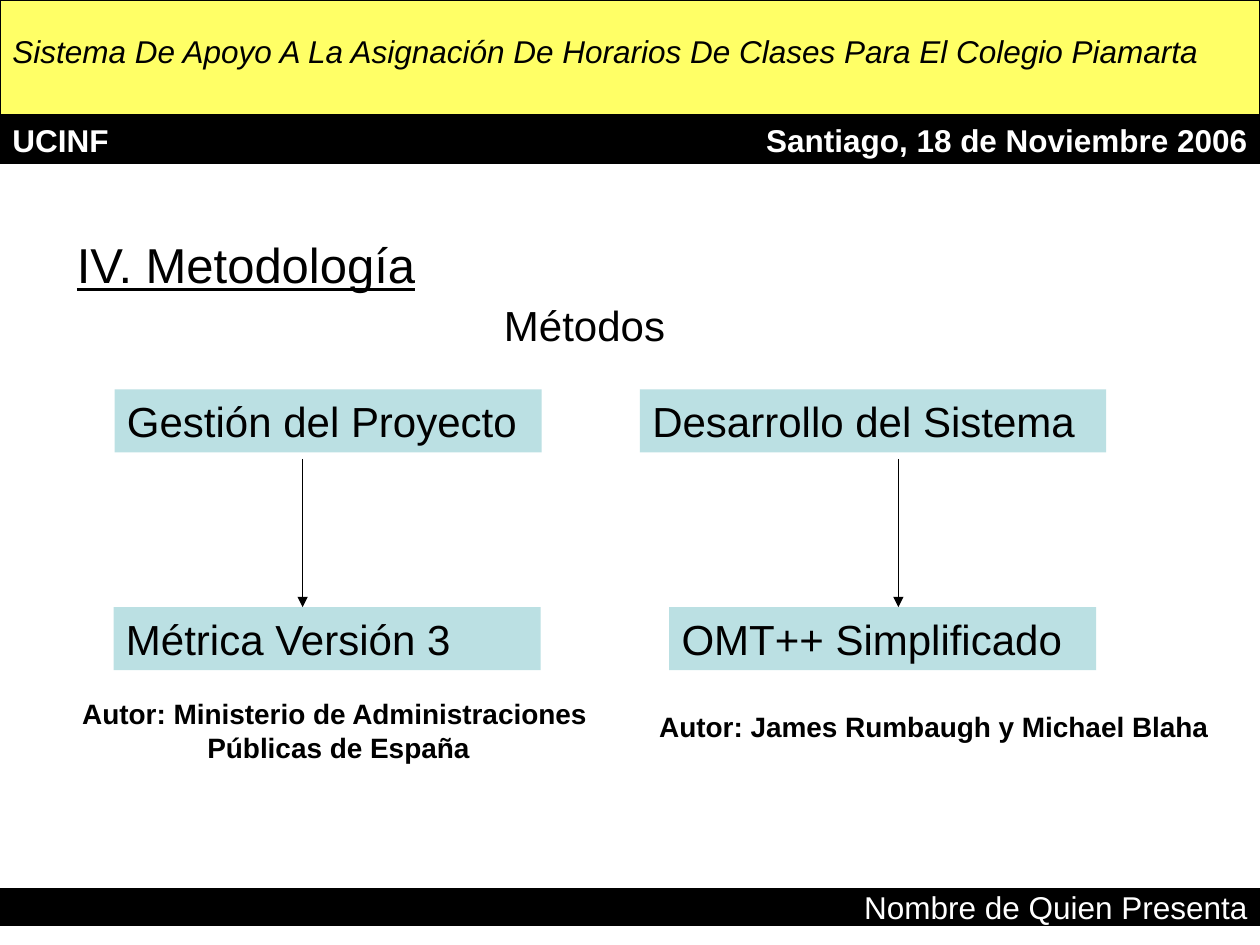
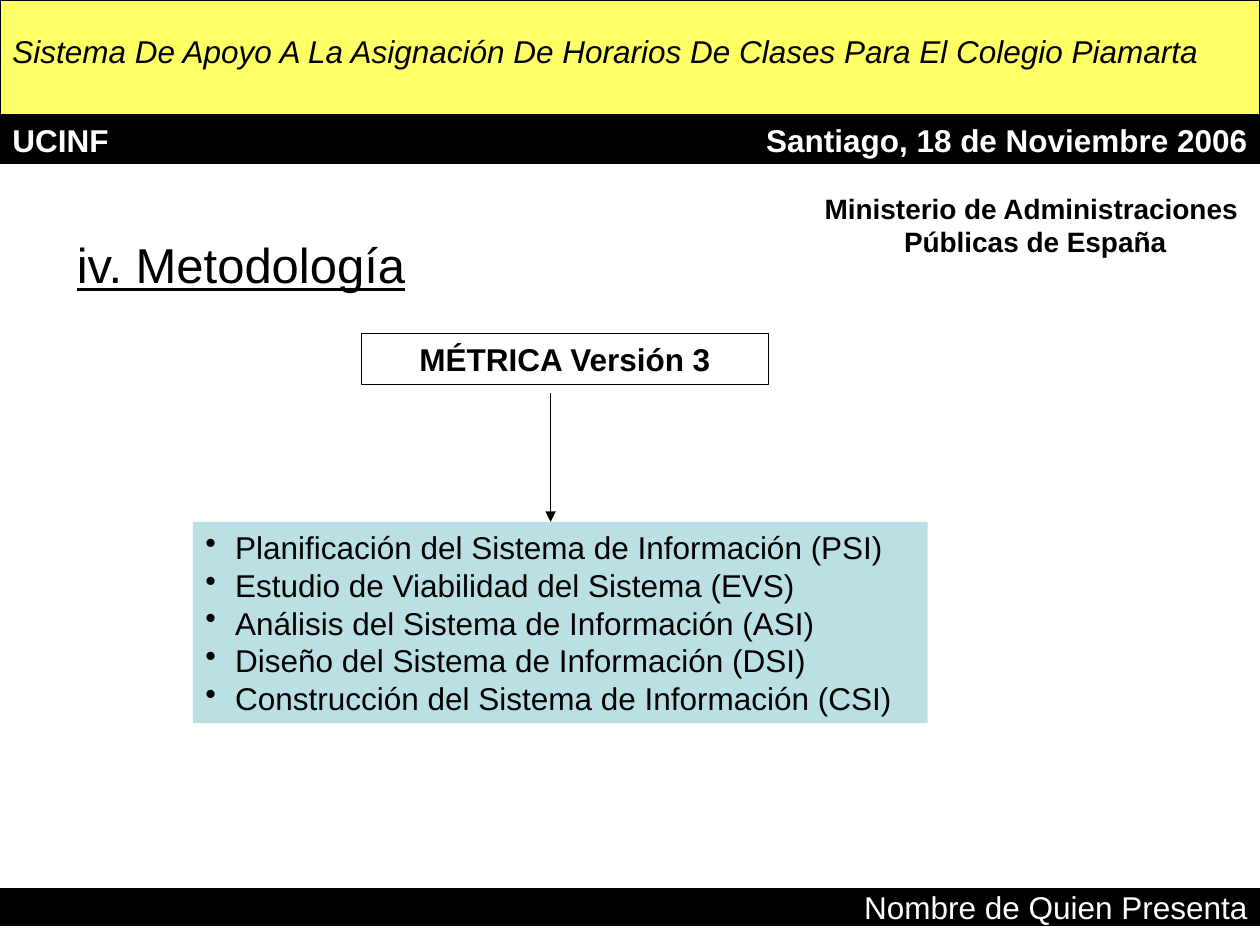
import pptx
import pptx.util
import pptx.dml.color
import pptx.enum.shapes
import pptx.enum.text
import lxml.etree

BLACK, WHITE, GOLD, AQUA = "000000", "FFFFFF", "FFFF66", "BBE0E3"
FONT = "Arial"
WIDE, HIGH = 25.4, 19.05
BAND = 2.31
THIN = 0.75
ALIGN = pptx.enum.text.PP_ALIGN
LEFT, MID, RIGHT = ALIGN.LEFT, ALIGN.CENTER, ALIGN.RIGHT

BARS = [(0, BAND, GOLD), (BAND, 0.99, BLACK), (17.91, 0.74, BLACK)]
FRAME = [
    ("Sistema De Apoyo A La Asignación De Horarios De Clases Para El Colegio Piamarta",
     (0, 0.53, WIDE, 1.02), {"italic": True}),
    ("UCINF", (0, BAND, 11.3, 1.02), {"color": WHITE, "bold": True}),
    ("Santiago, 18 de Noviembre 2006", (14.1, BAND, 11.3, 1.02),
     {"color": WHITE, "bold": True, "align": RIGHT}),
    ("Nombre de Quien Presenta", (11.91, 17.78, 13.49, 1.02),
     {"color": WHITE, "align": RIGHT}),
]

TOP, LOW = 7.85, 12.24
PATHS = [
    {"task": ("Gestión del Proyecto", 2.31, 8.61),
     "way": ("Métrica Versión 3", 2.29, 8.61), "stem": 6.1},
    {"task": ("Desarrollo del Sistema", 12.9, 9.4),
     "way": ("OMT++ Simplificado", 13.49, 8.61), "stem": 18.11},
]
STATE = "Ministerio de Administraciones \nPúblicas de España"
STAGES = [
    "Planificación del Sistema de Información (PSI)",
    "Estudio de Viabilidad del Sistema (EVS)",
    "Análisis del Sistema de Información (ASI)",
    "Diseño del Sistema de Información (DSI)",
    "Construcción del Sistema de Información (CSI)",
]


def cm(spots):
    return [pptx.util.Cm(spot) for spot in spots]


def rgb(code):
    return pptx.dml.color.RGBColor.from_string(code)


def add_bar(slide, spot, fill=None, line=None):
    kind = pptx.enum.shapes.MSO_SHAPE.RECTANGLE
    bar = slide.shapes.add_shape(kind, *cm(spot))
    bar.shadow.inherit = False
    if fill:
        bar.fill.solid()
        bar.fill.fore_color.rgb = rgb(fill)
    else:
        bar.fill.background()
    if line:
        bar.line.color.rgb = rgb(line)
        bar.line.width = pptx.util.Pt(THIN)
    else:
        bar.line.fill.background()
    return bar


def add_dot(para):
    props = para._p.get_or_add_pPr()
    gap = pptx.util.Cm(0.6)
    props.set("marL", str(gap))
    props.set("indent", str(-gap))
    mark = lxml.etree.SubElement(props, pptx.oxml.ns.qn("a:buChar"))
    mark.set("char", "•")


def write(shape, text, size=18, color=BLACK, align=LEFT, wrap=True,
          center=False, dots=False, **style):
    frame = shape.text_frame
    frame.text = text
    frame.word_wrap = wrap
    anchor = pptx.enum.text.MSO_ANCHOR
    frame.vertical_anchor = anchor.MIDDLE if center else anchor.TOP
    for para in frame.paragraphs:
        para.alignment = align
        if dots:
            add_dot(para)
        for run in para.runs:
            font = run.font
            font.name = FONT
            font.size = pptx.util.Pt(size)
            font.color.rgb = rgb(color)
            for name, value in style.items():
                setattr(font, name, value)


def add_text(slide, text, spot, **style):
    box = slide.shapes.add_textbox(*cm(spot))
    write(box, text, **style)
    return box


def add_arrow(slide, x, start, end):
    kind = pptx.enum.shapes.MSO_CONNECTOR.STRAIGHT
    arrow = slide.shapes.add_connector(kind, *cm((x, start, x, end)))
    arrow.line.color.rgb = rgb(BLACK)
    arrow.line.width = pptx.util.Pt(THIN)
    tip = lxml.etree.SubElement(arrow.line._get_or_add_ln(),
                                pptx.oxml.ns.qn("a:tailEnd"))
    tip.set("type", "triangle")
    lxml.etree.SubElement(arrow._element.spPr, pptx.oxml.ns.qn("a:effectLst"))


def add_page(deck, title):
    slide = deck.slides.add_slide(deck.slide_layouts[6])
    for top, tall, fill in BARS:
        add_bar(slide, (0, top, WIDE, tall), fill, BLACK)
    for text, spot, style in FRAME:
        add_text(slide, text, spot, **style)
    add_text(slide, title, (1.3, 4.72, 24.1, 1.22), size=28,
             center=True, underline=True)
    return slide


def add_methods(deck):
    slide = add_page(deck, "IV. Metodología")
    add_text(slide, "Métodos", (9.91, 5.92, 4.19, 1.27), size=24)
    for item in PATHS:
        for part, top in (("task", TOP), ("way", LOW)):
            text, left, wide = item[part]
            write(add_bar(slide, (left, top, wide, 1.27), AQUA), text, size=24)
        add_arrow(slide, item["stem"], 9.25, LOW)
    add_text(slide, "Autor: " + STATE, (1.4, 13.92, 10.85, 1.63), size=16,
             bold=True, align=MID, wrap=False)
    name = add_text(slide, "Autor: James Rumbaugh y Michael Blaha",
                    (13.11, 14.17, 11.66, 0.94), size=16, bold=True,
                    wrap=False, center=True)
    name.text_frame.margin_left = pptx.util.Cm(0.18)


def add_stages(deck):
    slide = add_page(deck, "iv. Metodología")
    head = add_bar(slide, (7.29, 6.73, 8.2, 1.02), line=BLACK)
    write(head, "MÉTRICA Versión 3", bold=True, align=MID)
    add_arrow(slide, 11.1, 7.92, 10.52)
    steps = add_bar(slide, (3.89, 10.52, 14.81, 4.06), AQUA)
    write(steps, "\n".join(STAGES), dots=True)
    add_text(slide, STATE, (16.36, 3.73, 9.02, 1.63), size=16,
             bold=True, align=MID, wrap=False)


def main():
    deck = pptx.Presentation()
    deck.slide_width, deck.slide_height = cm((WIDE, HIGH))
    add_methods(deck)
    add_stages(deck)
    deck.save("out.pptx")


if __name__ == "__main__":
    main()
